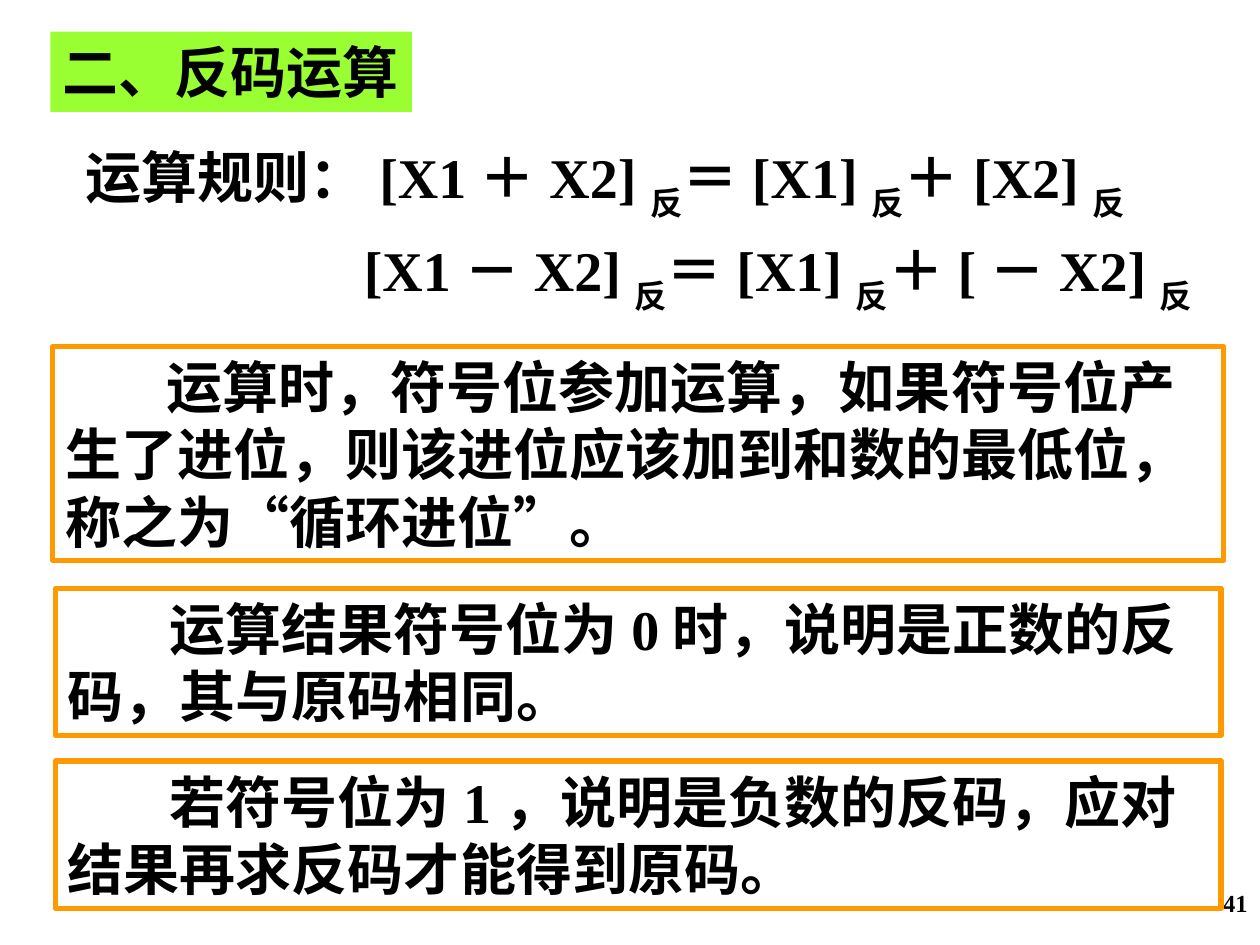
from dataclasses import dataclass
from typing import Optional

from pptx import Presentation
from pptx import util as u
from pptx.dml.color import RGBColor
from pptx.enum import lang, shapes, text

BLACK = RGBColor(0x00, 0x00, 0x00)
GREEN = RGBColor(0x99, 0xFF, 0x33)
ORANGE = RGBColor(0xFF, 0x99, 0x00)
SERIF = "Times New Roman"
SUBSCRIPT = "反"
BODY_SIZE = 32


@dataclass(frozen=True)
class Box:
    """A filled or outlined rectangle with one paragraph; lengths in points."""
    left: float
    top: float
    width: float
    height: float
    words: str
    font: str = SERIF
    indent: float = 0
    wrap: bool = True
    fill: Optional[RGBColor] = None
    line: Optional[RGBColor] = None


@dataclass(frozen=True)
class Formula:
    """Terms that are each followed by the subscript."""
    terms: tuple[str, ...]
    indent: float = 0
    space_before: float = 0


BOXES = (
    Box(28.8, 18, 206.6, 46, "二、反码运算", font="Montserrat", wrap=False, fill=GREEN),
    Box(30.2, 198, 669, 122.4,
        "运算时，符号位参加运算，如果符号位产生了进位，则该进位应该加到和数的最低位，称之为“循环进位”。",
        indent=58, line=ORANGE),
    Box(31.7, 336.2, 666, 84.2, "运算结果符号位为0时，说明是正数的反码，其与原码相同。",
        indent=58, line=ORANGE),
    Box(31.7, 434.9, 666, 84.2, "若符号位为1，说明是负数的反码，应对结果再求反码才能得到原码。",
        indent=58, line=ORANGE),
)
FORMULAS = (
    Formula(("运算规则：[X1＋X2]", "＝[X1]", "＋[X2]")),
    Formula(("[X1－X2]", "＝[X1]", "＋[－X2]"), indent=159, space_before=8),
)


def add_run(paragraph, words: str, size: float = BODY_SIZE, font: str = SERIF,
            subscript: bool = False) -> None:
    run = paragraph.add_run()
    run.text = words
    run.font.size = u.Pt(size)
    run.font.name = font
    run.font.bold = True
    run.font.color.rgb = BLACK
    run.font.language_id = lang.MSO_LANGUAGE_ID.SIMPLIFIED_CHINESE
    if subscript:
        run.font._element.set("baseline", "-30000")


def set_indent(paragraph, points: float) -> None:
    if points:
        properties = paragraph._p.get_or_add_pPr()
        properties.set("marL", "0")
        properties.set("indent", str(u.Pt(points)))


def add_box(slide, box: Box) -> None:
    shape = slide.shapes.add_shape(
        shapes.MSO_SHAPE.RECTANGLE,
        u.Pt(box.left), u.Pt(box.top), u.Pt(box.width), u.Pt(box.height))
    shape.shadow.inherit = False
    if box.fill is None:
        shape.fill.background()
    else:
        shape.fill.solid()
        shape.fill.fore_color.rgb = box.fill
    if box.line is None:
        shape.line.fill.background()
    else:
        shape.line.color.rgb = box.line
        shape.line.width = u.Pt(3)
    frame = shape.text_frame
    frame.word_wrap = box.wrap
    frame.auto_size = text.MSO_AUTO_SIZE.SHAPE_TO_FIT_TEXT
    frame.vertical_anchor = text.MSO_ANCHOR.TOP
    paragraph = frame.paragraphs[0]
    paragraph.alignment = text.PP_ALIGN.LEFT
    set_indent(paragraph, box.indent)
    add_run(paragraph, box.words, font=box.font)


def add_text_frame(slide, left: float, top: float, width: float, height: float):
    shape = slide.shapes.add_textbox(u.Pt(left), u.Pt(top), u.Pt(width), u.Pt(height))
    shape.text_frame.word_wrap = True
    return shape.text_frame


def add_formulas(slide, formulas: tuple[Formula, ...]) -> None:
    frame = add_text_frame(slide, 41.8, 77.8, 648, 105.8)
    for index, formula in enumerate(formulas):
        paragraph = frame.add_paragraph() if index else frame.paragraphs[0]
        set_indent(paragraph, formula.indent)
        if formula.space_before:
            paragraph.space_before = u.Pt(formula.space_before)
        for term in formula.terms:
            add_run(paragraph, term)
            add_run(paragraph, SUBSCRIPT, subscript=True)


def add_page_number(slide, number: str) -> None:
    paragraph = add_text_frame(slide, 570.2, 504, 149.8, 36).paragraphs[0]
    paragraph.alignment = text.PP_ALIGN.RIGHT
    add_run(paragraph, number, size=14)


def main() -> None:
    presentation = Presentation()
    presentation.slide_width = u.Pt(720)
    presentation.slide_height = u.Pt(540)
    slide = presentation.slides.add_slide(presentation.slide_layouts[6])

    # Page number, at the back
    add_page_number(slide, "41")

    # Heading, rules, then the three notes
    heading, *notes = BOXES
    add_box(slide, heading)
    add_formulas(slide, FORMULAS)
    for note in notes:
        add_box(slide, note)

    presentation.save("out.pptx")


if __name__ == "__main__":
    main()
